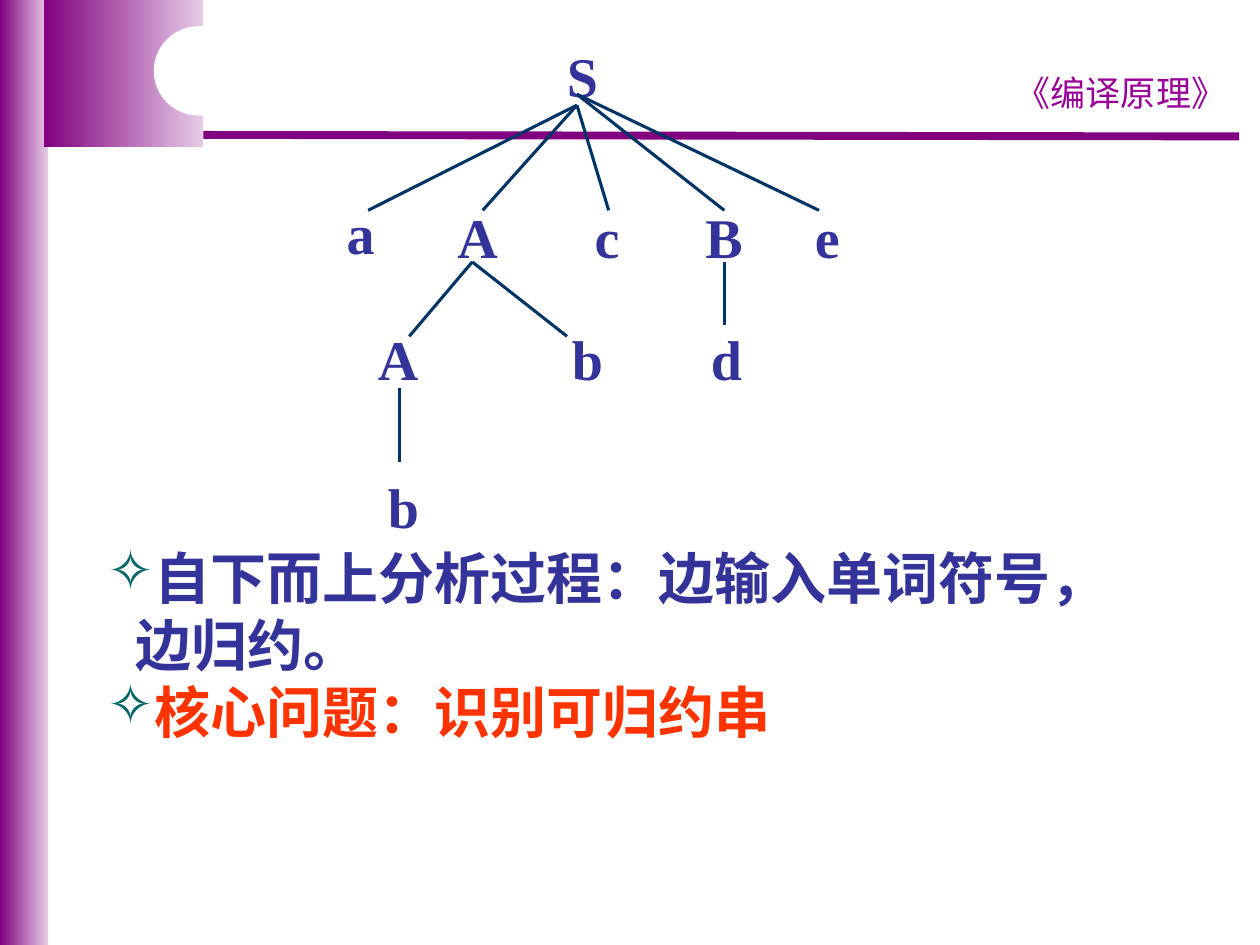
from lxml.etree import SubElement as AddElement
from pptx import Presentation
from pptx.dml.color import RGBColor as Rgb
from pptx.enum.shapes import MSO_CONNECTOR as Connector, MSO_SHAPE as Shape
from pptx.enum.text import PP_ALIGN as Align
from pptx.oxml.ns import qn
from pptx.util import Cm, Pt

COLORS = {
    "purple": "800080",
    "lilac": "E6CCE6",
    "white": "FFFFFF",
    "course": "990099",
    "text": "333399",
    "accent": "FF3300",
    "bullet": "006666",
    "edge": "003366",
}
SERIF, SANS, COMIC = "Times New Roman", "Noto Sans CJK SC", "Comic Neue"

# Tree symbols: text, left, top, width (cm)
NODES = [
    ("S", 11.43, 0.84, 0.64),
    ("a", 6.99, 4.01, 0.56),
    ("A", 9.22, 4.09, 0.81),
    ("c", 11.99, 4.09, 0.51),
    ("B", 14.22, 4.09, 0.76),
    ("e", 16.43, 4.09, 0.51),
    ("A", 7.62, 6.55, 0.81),
    ("b", 11.53, 6.55, 0.64),
    ("d", 14.33, 6.55, 0.64),
    ("b", 7.82, 9.53, 0.64),
]
# Tree branches: start point, then the x of each end and their shared y (cm)
BRANCHES = [
    ((11.63, 2.12), (7.42, 9.73, 12.27), 4.24),
    ((11.63, 1.9), (14.6, 16.51), 4.24),
    ((9.52, 5.28), (8.25, 11.43), 6.78),
    ((14.6, 5.28), (14.6,), 6.55),
    ((8.05, 7.82), (8.05,), 9.32),
]
POINTS = [
    ("自下而上分析过程：边输入单词符号，边归约。", "text"),
    ("核心问题：识别可归约串", "accent"),
]


class SlideBuilder:
    def __init__(self, slide):
        self.slide = slide

    def color(self, name):
        return Rgb.from_string(COLORS[name])

    def panel(self, kind, left, top, width, height, *fills):
        """Add a borderless shape with a plain fill or a two-colour gradient."""
        shape = self.slide.shapes.add_shape(
            kind, Cm(left), Cm(top), Cm(width), Cm(height))
        shape.shadow.inherit = False
        shape.line.fill.background()
        if len(fills) == 1:
            shape.fill.solid()
            shape.fill.fore_color.rgb = self.color(fills[0])
        else:
            shape.fill.gradient()
            shape.fill.gradient_angle = 0
            for stop, name in zip(shape.fill.gradient_stops, fills):
                stop.color.rgb = self.color(name)
        return shape

    def line(self, start, end, color, width):
        line = self.slide.shapes.add_connector(
            Connector.STRAIGHT, *(Cm(value) for value in (*start, *end)))
        line.line.color.rgb = self.color(color)
        line.line.width = Pt(width)
        AddElement(line._element.spPr, qn("a:effectLst"))

    def text_frame(self, left, top, width, height, margins, wrap=True):
        box = self.slide.shapes.add_textbox(
            Cm(left), Cm(top), Cm(width), Cm(height))
        frame = box.text_frame
        frame.word_wrap = wrap
        frame.margin_left = frame.margin_right = Cm(margins[0])
        frame.margin_top = frame.margin_bottom = Cm(margins[1])
        return frame

    def style(self, para, font_name, size, color, bold=False):
        font = para.font
        font.size, font.bold, font.name = Pt(size), bold, font_name
        font.color.rgb = self.color(color)
        properties = para._p.pPr.find(qn("a:defRPr"))
        AddElement(properties, qn("a:ea")).set("typeface", font_name)

    def label(self, text, left, top, width):
        frame = self.text_frame(left, top, width, 1.35, (0, 0), wrap=False)
        para = frame.paragraphs[0]
        para.text = text
        self.style(para, SERIF, 32, "text", bold=True)

    def heading(self, text, left, top, width, height):
        frame = self.text_frame(left, top, width, height, (0.25, 0.13))
        para = frame.paragraphs[0]
        para.text = text
        para.alignment = Align.CENTER
        self.style(para, COMIC, 20, "course")

    def bullets(self, items, left, top, width, height):
        frame = self.text_frame(left, top, width, height, (0.25, 0.25))
        for index, (text, color) in enumerate(items):
            para = frame.add_paragraph() if index else frame.paragraphs[0]
            para.text = text
            para.line_spacing = Pt(38.3)
            properties = para._p.get_or_add_pPr()
            properties.set("marL", str(Cm(0.58)))
            properties.set("indent", str(Cm(-0.58)))
            bullet_color = AddElement(properties, qn("a:buClr"))
            AddElement(bullet_color, qn("a:srgbClr")).set("val", COLORS["bullet"])
            AddElement(properties, qn("a:buChar")).set("char", "✧")
            self.style(para, SANS, 32, color, bold=True)


def main():
    deck = Presentation()
    deck.slide_width, deck.slide_height = Cm(25.4), Cm(19.05)
    page = SlideBuilder(deck.slides.add_slide(deck.slide_layouts[6]))

    # Frame and course title
    page.panel(Shape.RECTANGLE, 0, 0, 0.97, 19.05, "purple", "lilac")
    page.panel(Shape.RECTANGLE, 0.88, 0, 3.22, 2.96, "purple", "lilac")
    page.line((4.1, 2.72), (24.98, 2.75), "purple", 4.5)
    page.heading("《编译原理》", 20.1, 1.32, 5, 1.11)
    notch = page.panel(Shape.ROUNDED_RECTANGLE, 3.1, 0.53, 9.2, 1.8, "white")
    notch.adjustments[0] = 0.5

    # Syntax tree
    for node in NODES:
        page.label(*node)
    for start, ends, bottom in BRANCHES:
        for end in ends:
            page.line(start, (end, bottom), "edge", 1.75)

    # Key points
    page.bullets(POINTS, 1.91, 10.72, 21.59, 6.15)

    deck.save("out.pptx")


if __name__ == "__main__":
    main()
